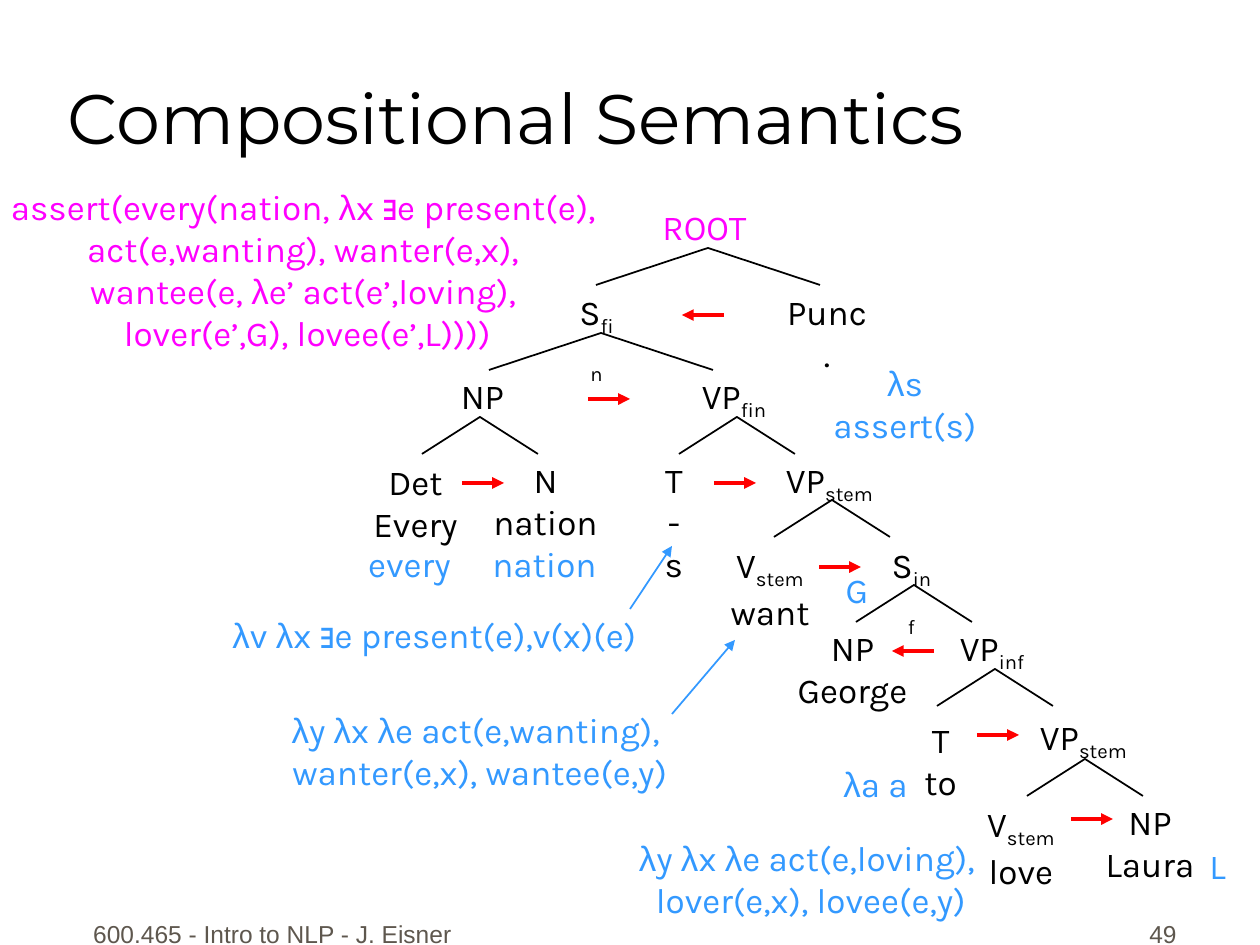
from itertools import groupby

from lxml import etree
from pptx import Presentation
from pptx import util as u
from pptx.dml.color import RGBColor
from pptx.enum import shapes, text
from pptx.oxml import ns

PX = 914400 / 126
BLACK = RGBColor(0x00, 0x00, 0x00)
MAGENTA = RGBColor(0xFF, 0x00, 0xFF)
BLUE = RGBColor(0x33, 0x99, 0xFF)
RED = RGBColor(0xFF, 0x00, 0x00)
TAUPE = RGBColor(0x5E, 0x57, 0x4E)
SYMBOLS = "λ∃"
BRANCH_DROP = 37
ARROW_LENGTH = 42

# Tree nodes: left, top, width, height, lines ("_" starts a subscript)
NODES = [
    (774, 284, 106, 97, "Punc\n."),
    (562, 284, 69, 60, "S_fin"),
    (446, 368, 73, 55, "NP"),
    (688, 368, 92, 60, "VP_fin"),
    (358, 454, 115, 97, "Det\nEvery"),
    (480, 452, 131, 97, "N\nnation"),
    (648, 452, 52, 97, "T\n-s"),
    (772, 452, 115, 60, "VP_stem"),
    (717, 537, 106, 103, "V_stem\nwant"),
    (877, 537, 69, 60, "S_inf"),
    (779, 620, 147, 97, "NP\nGeorge"),
    (946, 620, 92, 60, "VP_inf"),
    (911, 712, 59, 97, "T\nto"),
    (1026, 709, 115, 60, "VP_stem"),
    (974, 796, 94, 103, "V_stem\nlove"),
    (1091, 794, 118, 97, "NP\nLaura"),
]

# Branches: apex x, apex y, half width
BRANCHES = [
    (708, 248, 112), (601, 333, 112), (480, 417, 58), (737, 417, 58),
    (832, 500, 58), (914, 585, 58), (995, 669, 58), (1085, 759, 58),
]

# Word meanings ("\v" is a line break)
MEANINGS = [
    (832, 562, 50, 55, "G"),
    (829, 756, 93, 55, "λa a"),
    (619, 830, 384, 97, "λy λx λe act(e,loving), \vlover(e,x), lovee(e,y)"),
    (1196, 838, 43, 55, "L"),
    (271, 702, 418, 97, "λy λx λe act(e,wanting), \vwanter(e,x), wantee(e,y)"),
    (199, 607, 471, 55, "λv λx ∃e present(e),v(x)(e)"),
    (336, 536, 147, 55, "every"),
    (479, 536, 131, 55, "nation"),
    (801, 355, 208, 97, "λs assert(s)"),
]
ROOT_MEANING = (
    "assert(every(nation, λx ∃e present(e), \vact(e,wanting), wanter(e,x), \n"
    "wantee(e, λe’ act(e’,loving), \vlover(e’,G), lovee(e’,L))))"
)

# Function application: left end, y, direction
APPLICATIONS = [
    (682, 315, "left"), (588, 399, "right"), (462, 483, "right"),
    (714, 483, "right"), (819, 567, "right"), (892, 651, "left"),
    (977, 735, "right"), (1071, 819, "right"),
]


def px(length):
    return u.Emu(round(length * PX))


def style(span, font, size, color):
    span.font.name = font
    span.font.size = u.Pt(size)
    span.font.color.rgb = color


def add_box(page, left, top, width, height):
    box = page.shapes.add_textbox(px(left), px(top), px(width), px(height))
    box.text_frame.word_wrap = True
    return box.text_frame


def add_spans(para, words, color, subscript=False):
    for is_symbol, letters in groupby(words, lambda letter: letter in SYMBOLS):
        span = para.add_run()
        span.text = "".join(letters)
        style(span, "Arial" if is_symbol else "Karla", 20, color)
        if subscript:
            span._r.get_or_add_rPr().set("baseline", "-25000")


def add_label(page, left, top, width, height, words, color):
    frame = add_box(page, left, top, width, height)
    for index, content in enumerate(words.split("\n")):
        para = frame.add_paragraph() if index else frame.paragraphs[0]
        para.alignment = text.PP_ALIGN.CENTER
        for row, line in enumerate(content.split("\v")):
            if row:
                para.add_line_break()
            base, _, subscript = line.partition("_")
            add_spans(para, base, color)
            add_spans(para, subscript, color, subscript=True)


def add_branch(page, x, y, half):
    bottom = y + BRANCH_DROP
    builder = page.shapes.build_freeform(px(x - half), px(bottom))
    builder.add_line_segments(
        [(px(x), px(y)), (px(x + half), px(bottom))], close=False)
    branch = builder.convert_to_shape()
    branch.shadow.inherit = False
    branch.fill.background()
    branch.line.color.rgb = BLACK
    branch.line.width = u.Pt(1)


def add_arrow(page, start, end, color, width):
    arrow = page.shapes.add_connector(
        shapes.MSO_CONNECTOR.STRAIGHT, *map(px, start + end))
    arrow.line.color.rgb = color
    arrow.line.width = u.Pt(width)
    head = etree.SubElement(arrow.line._get_or_add_ln(), ns.qn("a:tailEnd"))
    head.set("type", "triangle")
    etree.SubElement(arrow._element.spPr, ns.qn("a:effectLst"))


def add_title(page, words):
    title = page.shapes.title
    title.left, title.top, title.width, title.height = map(px, (55, 8, 1142, 157))
    frame = title.text_frame
    frame.text = words
    frame.auto_size = text.MSO_AUTO_SIZE.NONE
    frame.vertical_anchor = text.MSO_ANCHOR.BOTTOM
    para = frame.paragraphs[0]
    para.alignment = text.PP_ALIGN.LEFT
    style(para.runs[0], "Montserrat", 40, BLACK)


def add_footer(page, left, width, words, alignment):
    frame = add_box(page, left, 892, width, 63)
    frame.vertical_anchor = text.MSO_ANCHOR.BOTTOM
    frame.text = words
    para = frame.paragraphs[0]
    para.alignment = alignment
    style(para.runs[0], "Arial", 14, TAUPE)


def main():
    deck = Presentation()
    deck.slide_width, deck.slide_height = u.Inches(10), u.Inches(7.5)
    page = deck.slides.add_slide(deck.slide_layouts[5])

    # Title and footer
    add_title(page, "Compositional Semantics")
    add_footer(page, 73, 399, "600.465 - Intro to NLP - J. Eisner",
               text.PP_ALIGN.CENTER)
    add_footer(page, 927, 262, "49", text.PP_ALIGN.RIGHT)

    # Parse tree
    for branch in BRANCHES:
        add_branch(page, *branch)
    add_label(page, 644, 199, 121, 55, "ROOT", MAGENTA)
    for node in NODES:
        add_label(page, *node, BLACK)

    # Meanings
    for meaning in MEANINGS:
        add_label(page, *meaning, BLUE)
    add_label(page, -15, 179, 645, 181, ROOT_MEANING, MAGENTA)
    add_arrow(page, (630, 609), (672, 546), BLUE, 1)
    add_arrow(page, (672, 714), (735, 640), BLUE, 1)

    # Function applications
    for left, y, direction in APPLICATIONS:
        ends = [(left, y), (left + ARROW_LENGTH, y)]
        if direction == "left":
            ends.reverse()
        add_arrow(page, *ends, RED, 2.25)

    deck.save("out.pptx")


if __name__ == "__main__":
    main()
